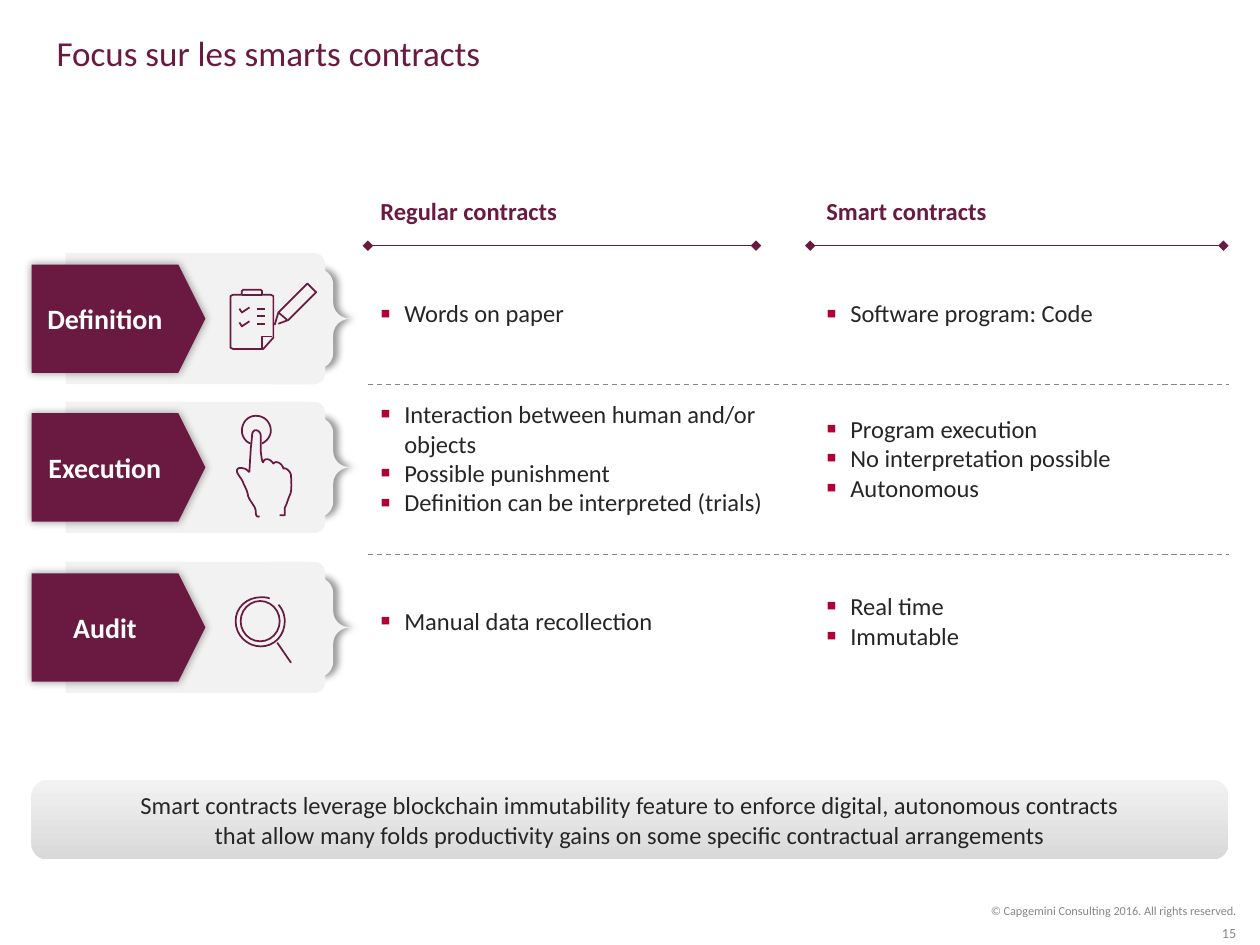
from lxml import etree
from pptx import Presentation
from pptx.dml.color import RGBColor
from pptx.enum.dml import MSO_LINE
from pptx.enum.shapes import MSO_CONNECTOR, MSO_SHAPE
from pptx.enum.text import MSO_ANCHOR, PP_ALIGN
from pptx.oxml import parse_xml
from pptx.oxml.ns import nsdecls, qn
from pptx.util import Inches, Pt

PLUM = RGBColor(0x6A, 0x1A, 0x41)
INK = RGBColor(0x26, 0x26, 0x26)
GREY = RGBColor(0x85, 0x88, 0x8B)
PALE = RGBColor(0xF2, 0xF2, 0xF2)
SILVER = RGBColor(0xD9, 0xD9, 0xD9)
WHITE = RGBColor(0xFF, 0xFF, 0xFF)
BULLET_RED = "B10034"


class Board:
    """Slide on a grid of 100 columns by 75 rows, with one text style."""
    font = "Calibri"
    curve_steps = 8

    def __init__(self, deck):
        self.cell = deck.slide_width // 100
        slide = deck.slides.add_slide(deck.slide_layouts[6])
        self.page = self.shapes = slide.shapes

    def grid(self, *cells):
        return [round(value * self.cell) for value in cells]

    def begin_group(self):
        self.shapes = self.page.add_group_shape().shapes

    def end_group(self):
        self.shapes = self.page

    def set_text(self, frame, lines, size, color, bold=False, align=PP_ALIGN.LEFT,
                 bullets=False, inset=(0.1, 0.05)):
        frame.word_wrap = True
        frame.vertical_anchor = MSO_ANCHOR.MIDDLE
        frame.margin_left = frame.margin_right = Inches(inset[0])
        frame.margin_top = frame.margin_bottom = Inches(inset[1])
        for index, line in enumerate(lines):
            paragraph = frame.add_paragraph() if index else frame.paragraphs[0]
            paragraph.text = line
            paragraph.alignment = align
            if bullets:
                self.bullet(paragraph)
            font = paragraph.font
            font.name, font.size, font.bold = self.font, Pt(size), bold
            font.color.rgb = color

    def bullet(self, paragraph):
        props = paragraph._p.get_or_add_pPr()
        props.set("marL", str(Inches(0.19)))
        props.set("indent", str(-Inches(0.19)))
        color = etree.SubElement(props, qn("a:buClr"))
        etree.SubElement(color, qn("a:srgbClr"), val=BULLET_RED)
        etree.SubElement(props, qn("a:buSzPct"), val="120000")
        etree.SubElement(props, qn("a:buFont"), typeface=self.font)
        etree.SubElement(props, qn("a:buChar"), char="▪")

    def text(self, place, lines, size, color, **style):
        box = self.shapes.add_textbox(*self.grid(*place))
        self.set_text(box.text_frame, lines, size, color, **style)

    def shape(self, kind, place, fill=None, adjust=(), shadow=None):
        item = self.shapes.add_shape(kind, *self.grid(*place))
        for index, value in enumerate(adjust):
            item.adjustments[index] = value
        item.shadow.inherit = False
        item.line.fill.background()
        if fill is None:
            item.fill.background()
        else:
            item.fill.solid()
            item.fill.fore_color.rgb = fill
        if shadow:
            blur, distance = shadow
            item._element.spPr.find(qn("a:effectLst")).append(parse_xml(
                f'<a:outerShdw {nsdecls("a")} blurRad="{Pt(blur)}" dist="{Pt(distance)}" '
                'dir="0" algn="ctr" rotWithShape="0"><a:srgbClr val="000000">'
                '<a:alpha val="40000"/></a:srgbClr></a:outerShdw>'))
        return item

    def ink(self, item, color=PLUM, width=1):
        item.line.color.rgb = color
        item.line.width = Pt(width)

    def line(self, x1, y1, x2, y2, color=PLUM, width=1, dashed=False, diamonds=False):
        rule = self.shapes.add_connector(MSO_CONNECTOR.STRAIGHT, *self.grid(x1, y1, x2, y2))
        self.ink(rule, color, width)
        if dashed:
            rule.line.dash_style = MSO_LINE.DASH
        if diamonds:
            for end in ("a:headEnd", "a:tailEnd"):
                etree.SubElement(rule.line._get_or_add_ln(), qn(end), type="diamond")
        etree.SubElement(rule._element.spPr, qn("a:effectLst"))

    def stroke(self, start, *steps, close=False):
        """Outline: a step of 2 numbers is a line, one of 6 a Bézier curve."""
        points = [start]
        for step in steps:
            if len(step) == 2:
                points.append(step)
                continue
            corners = [points[-1], step[:2], step[2:4], step[4:]]
            for count in range(1, self.curve_steps + 1):
                t = count / self.curve_steps
                weights = ((1 - t) ** 3, 3 * t * (1 - t) ** 2, 3 * t * t * (1 - t), t ** 3)
                points.append(tuple(sum(w * c[axis] for w, c in zip(weights, corners))
                                    for axis in (0, 1)))
        points = [tuple(self.grid(*point)) for point in points]
        builder = self.shapes.build_freeform(*points[0])
        builder.add_line_segments(points[1:], close=close)
        outline = builder.convert_to_shape()
        outline.shadow.inherit = False
        outline.fill.background()
        self.ink(outline)

    def stage(self, top, label):
        self.begin_group()
        self.shape(MSO_SHAPE.RIGHT_BRACE, (25.1, top + 1.2, 2.7, 8), PALE, (0.47, 0.5), (4, 3))
        self.shape(MSO_SHAPE.ROUNDED_RECTANGLE, (20.8, top, 5, 10.4), PALE)
        self.shape(MSO_SHAPE.RECTANGLE, (5.2, top, 19.2, 10.4), PALE)
        arrow = self.shape(MSO_SHAPE.RIGHT_ARROW, (2.5, top + 0.9, 13.8, 8.6),
                           PLUM, (1, 0.25), (5, 0))
        self.set_text(arrow.text_frame, [label], 16, WHITE, bold=True,
                      align=PP_ALIGN.CENTER, inset=(0.05, 0.05))
        self.end_group()

    def clipboard_icon(self):
        self.begin_group()
        self.stroke((20.9, 27.7), (18.5, 27.7), (18.3, 27.6), (18.3, 23.5), (18.5, 23.4),
                    (19.2, 23.4), (19.2, 23.1), (19.3, 23), (20.7, 23), (20.8, 23.1),
                    (20.8, 23.4), (21.5, 23.4), (21.7, 23.5), (21.7, 26.8), close=True)
        for tick in (24.5, 25.6):
            self.stroke((19, tick), (19.2, tick + 0.3), (19.8, tick - 0.1))
        for row in (24.5, 25.1, 25.7):
            self.line(20.4, row, 21, row)
        self.stroke((20.8, 27.6), (20.8, 26.7), (21.6, 26.7))
        self.line(19.2, 23.4, 20.8, 23.4)
        # Pencil
        self.stroke((21.8, 25.8), (22.1, 24.8), (24.4, 22.5), (25.1, 23.2),
                    (22.9, 25.4), (22.1, 25.7))
        self.line(22.1, 24.8, 22.8, 25.4)
        self.end_group()

    def finger_icon(self):
        self.begin_group()
        self.stroke(
            (22.2, 40.9), (22.3, 40.9, 22.5, 40.9, 22.6, 40.9), (22.6, 40.9, 22.6, 40.4, 22.6, 40.3),
            (22.7, 40.2, 22.9, 39.5, 23, 39.3), (23.2, 39, 23.1, 38.1, 23.1, 37.7),
            (23, 37.3, 22.6, 37.1, 22.5, 37.2), (22.4, 36.8, 21.9, 36.5, 21.7, 36.8),
            (21.4, 36.3, 20.9, 36.4, 20.9, 36.7), (20.8, 36.8, 20.7, 35.9, 20.7, 35.8),
            (20.7, 35.7, 20.7, 34.8, 20.7, 34.6), (20.7, 34.1, 20, 33.9, 20, 34.6),
            (20, 34.9, 19.9, 35.5, 19.9, 35.7), (19.9, 35.8, 19.8, 37.2, 19.8, 37.4),
            (19.8, 37.6, 19.6, 37.2, 19.4, 37.2), (19.1, 37.1, 18.8, 37.1, 18.8, 37.4),
            (18.8, 37.6, 19.2, 38, 19.3, 38.3), (19.4, 38.6, 19.6, 38.8, 19.7, 39.4),
            (19.9, 39.9, 20.3, 40.2, 20.3, 40.6), (20.3, 41.1, 20.5, 41, 20.6, 41))
        self.stroke((19.9, 35.2), (19.5, 35.1, 19.2, 34.6, 19.2, 34.2),
                    (19.2, 33.5, 19.7, 33, 20.3, 33), (21, 33, 21.5, 33.5, 21.5, 34.2),
                    (21.5, 34.6, 21.2, 35, 20.8, 35.2))
        self.end_group()

    def magnifier_icon(self):
        self.begin_group()
        self.stroke((22.1, 48), (22.4, 48.3, 22.6, 48.8, 22.6, 49.3),
                    (22.6, 50.4, 21.8, 51.3, 20.7, 51.3), (19.6, 51.3, 18.7, 50.4, 18.7, 49.3),
                    (18.7, 48.2, 19.6, 47.4, 20.7, 47.4), (20.9, 47.4, 21.2, 47.4, 21.4, 47.5))
        self.line(22, 51, 23.1, 52.6)
        self.ink(self.shape(MSO_SHAPE.OVAL, (19.1, 47.7, 3.1, 3.2)))
        self.end_group()


def main():
    deck = Presentation()
    deck.slide_width, deck.slide_height = Inches(10), Inches(7.5)
    board = Board(deck)

    # Title and footer
    board.text((3.5, 0, 96.5, 8.4), ["Focus sur les smarts contracts"], 20, PLUM)
    footer = dict(align=PP_ALIGN.RIGHT, inset=(0.1, 0))
    board.text((69.9, 71.2, 29.2, 2.2),
               ["© Capgemini Consulting 2016. All rights reserved."], 7, GREY, **footer)
    board.text((75.8, 73.4, 23.3, 1.3), ["15"], 8, GREY, **footer)

    # Stages down the left side
    for top, label in ((20.1, "Definition"), (31.9, "Execution"), (44.6, "Audit")):
        board.stage(top, label)
    board.clipboard_icon()
    board.finger_icon()
    board.magnifier_icon()

    # Comparison columns: text left, rule from, rule to, heading, points per stage
    columns = (
        (29.2, 29.2, 60, "Regular contracts", (
            ["Words on paper"],
            ["Interaction between human and/or objects", "Possible punishment",
             "Definition can be interpreted (trials)"],
            ["Manual data recollection"])),
        (64.6, 64.3, 97.1, "Smart contracts", (
            ["Software program: Code"],
            ["Program execution", "No interpretation possible", "Autonomous"],
            ["Real time", "Immutable"])),
    )
    for left, start, end, heading, stages in columns:
        board.text((left, 14.4, 32.9, 4.7), [heading], 14, PLUM, bold=True)
        board.line(start, 19.5, end, 19.5, width=0.75, diamonds=True)
        for top, points in zip((20.1, 31.6, 44.5), stages):
            board.text((left, top, 32.9, 9.5), points, 14, INK, bullets=True)
    for row in (30.5, 44):
        board.line(29.2, row, 97.5, row, GREY, 0.75, dashed=True)

    # Conclusion
    conclusion = board.shape(MSO_SHAPE.ROUNDED_RECTANGLE, (2.5, 61.9, 95, 6.3), PALE, (0.2,))
    conclusion.fill.gradient()
    conclusion.fill.gradient_angle = 270
    for stop, position, color in zip(conclusion.fill.gradient_stops, (0, 1), (PALE, SILVER)):
        stop.position, stop.color.rgb = position, color
    board.set_text(conclusion.text_frame, [
        "Smart contracts leverage blockchain immutability feature to enforce digital, autonomous "
        "contracts\vthat allow many folds productivity gains on some specific contractual "
        "arrangements"], 14, INK, align=PP_ALIGN.CENTER)

    deck.save("out.pptx")


if __name__ == "__main__":
    main()
